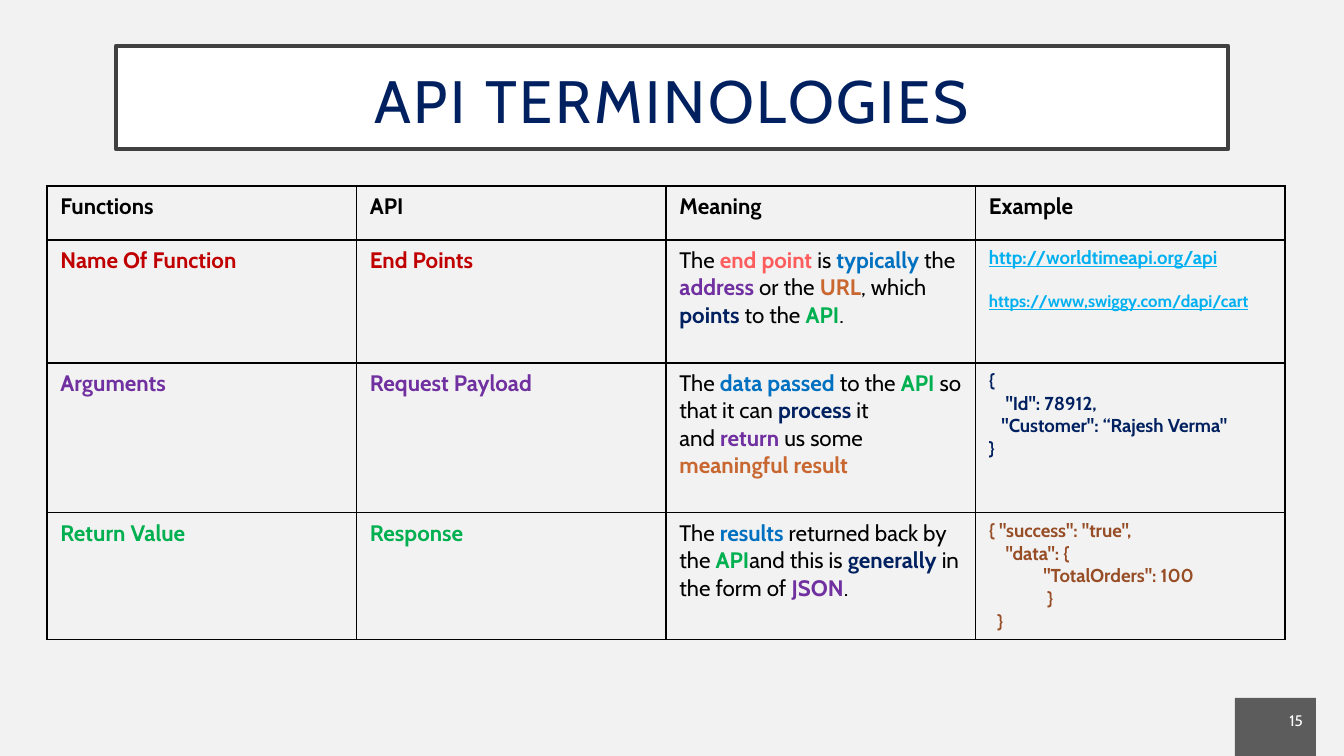
from lxml import etree
from pptx import Presentation
from pptx.dml.color import RGBColor
from pptx.enum.shapes import MSO_SHAPE
from pptx.enum.text import MSO_ANCHOR, PP_ALIGN
from pptx.oxml.ns import qn
from pptx.util import Emu, Pt

RECT = MSO_SHAPE.RECTANGLE
TOP, BOTTOM = MSO_ANCHOR.TOP, MSO_ANCHOR.BOTTOM
CENTER, RIGHT = PP_ALIGN.CENTER, PP_ALIGN.RIGHT

SCALE = 914400 / 134.4
FONT = "Cabin"
BLACK, WHITE = "000000", "FFFFFF"
RED, CORAL, ORANGE, BROWN = "C00000", "FF5D5D", "C96731", "974D25"
NAVY, BLUE, SKY = "002060", "0070C0", "00B0F0"
PURPLE, GREEN = "7030A0", "00B050"


def px(n):
    return Emu(round(n * SCALE))


def rgb(color):
    return RGBColor.from_string(color)


def add_text(p, text, size=12, color=BLACK, bold=False, underline=False, spacing=0):
    r = p.add_run()
    r.text = text
    f = r.font
    f.name, f.size, f.bold, f.underline = FONT, Pt(size), bold, underline
    f.color.rgb = rgb(color)
    if spacing:
        r._r.get_or_add_rPr().set("spc", str(round(spacing * 100)))


def add_box(s, box, fill, anchor, align):
    sp = s.shapes.add_shape(RECT, *map(px, box))
    sp.shadow.inherit = False
    sp.fill.solid()
    sp.fill.fore_color.rgb = rgb(fill)
    sp.line.fill.background()
    tf = sp.text_frame
    tf.word_wrap = True
    tf.vertical_anchor = anchor
    tf.margin_left = tf.margin_right = tf.margin_top = tf.margin_bottom = px(13)
    p = tf.paragraphs[0]
    p.alignment = align
    return sp, p


def title(s, box, text):
    sp, p = add_box(s, box, WHITE, BOTTOM, CENTER)
    sp.line.color.rgb = rgb("404040")
    sp.line.width = Pt(2.5)
    p.line_spacing = 0.9
    add_text(p, text, size=32, color=NAVY, spacing=1.5)


def page_number(s, box, number):
    sp, p = add_box(s, box, "1D1D1D", TOP, RIGHT)
    color = sp._element.spPr.find(qn("a:solidFill"))[0]
    etree.SubElement(color, qn("a:alpha")).set("val", "70000")
    add_text(p, str(number), size=8.2, color=WHITE)


def add_borders(cell, color=BLACK, width=0.75):
    tc_pr = cell._tc.get_or_add_tcPr()
    for i, side in enumerate(("lnL", "lnR", "lnT", "lnB")):
        ln = etree.Element(qn(f"a:{side}"), w=str(Pt(width)))
        fill = etree.SubElement(ln, qn("a:solidFill"))
        etree.SubElement(fill, qn("a:srgbClr"), val=color)
        tc_pr.insert(i, ln)


def fill_cell(cell, lines, size=12, gap=0, **fmt):
    cell.fill.background()
    add_borders(cell)
    tf = cell.text_frame
    for i, line in enumerate(lines):
        p = tf.add_paragraph() if i else tf.paragraphs[0]
        if i and gap:
            p.space_before = Pt(gap)
        for part in [line] if isinstance(line, str) else line:
            if isinstance(part, tuple):
                text, color = part
                add_text(p, text, size=size, color=color, bold=True)
            else:
                add_text(p, part, size=size, **fmt)


def terms_table(s, box, heights, headers, rows):
    left, top, width, height = box
    shape = s.shapes.add_table(len(heights), len(headers), *map(px, box))
    tbl = shape.table
    tbl.first_row = tbl.horz_banding = False
    for col in tbl.columns:
        col.width = px(width / len(headers))
    for row, h in zip(tbl.rows, heights):
        row.height = px(h)
    for c, header in enumerate(headers):
        fill_cell(tbl.cell(0, c), [header], bold=True)
    for i, (color, function, api, meaning, example, fmt) in enumerate(rows, 1):
        fill_cell(tbl.cell(i, 0), [function], color=color, bold=True)
        fill_cell(tbl.cell(i, 1), [api], color=color, bold=True)
        fill_cell(tbl.cell(i, 2), meaning)
        fill_cell(tbl.cell(i, 3), example, bold=True, **fmt)
    return tbl


HEADERS = ["Functions", "API", "Meaning", "Example"]
ROWS = [
    (RED, "Name Of Function", "End Points",
     [["The ", ("end point ", CORAL), "is ", ("typically", BLUE), " the ",
       ("address", PURPLE), " or the ", ("URL", ORANGE), ", which ",
       ("points", NAVY), " to the ", ("API", GREEN), "."]],
     ["http://worldtimeapi.org/api", "https://www,swiggy.com/dapi/cart"],
     dict(size=10, color=SKY, underline=True, gap=12)),
    (PURPLE, "Arguments", "Request Payload",
     [["The ", ("data passed ", BLUE), "to the ", ("API ", GREEN),
       "so that it can ", ("process", NAVY), " it"],
      ["and ", ("return", PURPLE), " us some ", ("meaningful result", ORANGE)]],
     ["{", '    "Id": 78912,', '   "Customer": “Rajesh Verma"', "}"],
     dict(size=10, color=NAVY)),
    (GREEN, "Return Value", "Response",
     [["The ", ("results", BLUE), " returned back by the ", ("API", GREEN),
       "and this is ", ("generally", NAVY), " in the form of ",
       ("JSON", PURPLE), "."]],
     ['{ "success": "true",', '    "data": {', '             "TotalOrders": 100',
      "              }", "  }"],
     dict(size=10, color=BROWN)),
]


def main():
    prs = Presentation()
    prs.slide_width, prs.slide_height = px(1344), px(756)
    s = prs.slides.add_slide(prs.slide_layouts[6])
    s.background.fill.solid()
    s.background.fill.fore_color.rgb = rgb("F2F2F2")
    title(s, (116, 46, 1112, 103), "API TERMINOLOGIES")
    page_number(s, (1235, 698, 81, 58), 15)
    tbl = terms_table(s, (47, 186, 1238, 454), (54, 123, 150, 127), HEADERS, ROWS)
    cart_link = tbl.cell(1, 3).text_frame.paragraphs[1].runs[0]
    cart_link.font.size = Pt(9)
    prs.save("out.pptx")


if __name__ == "__main__":
    main()
